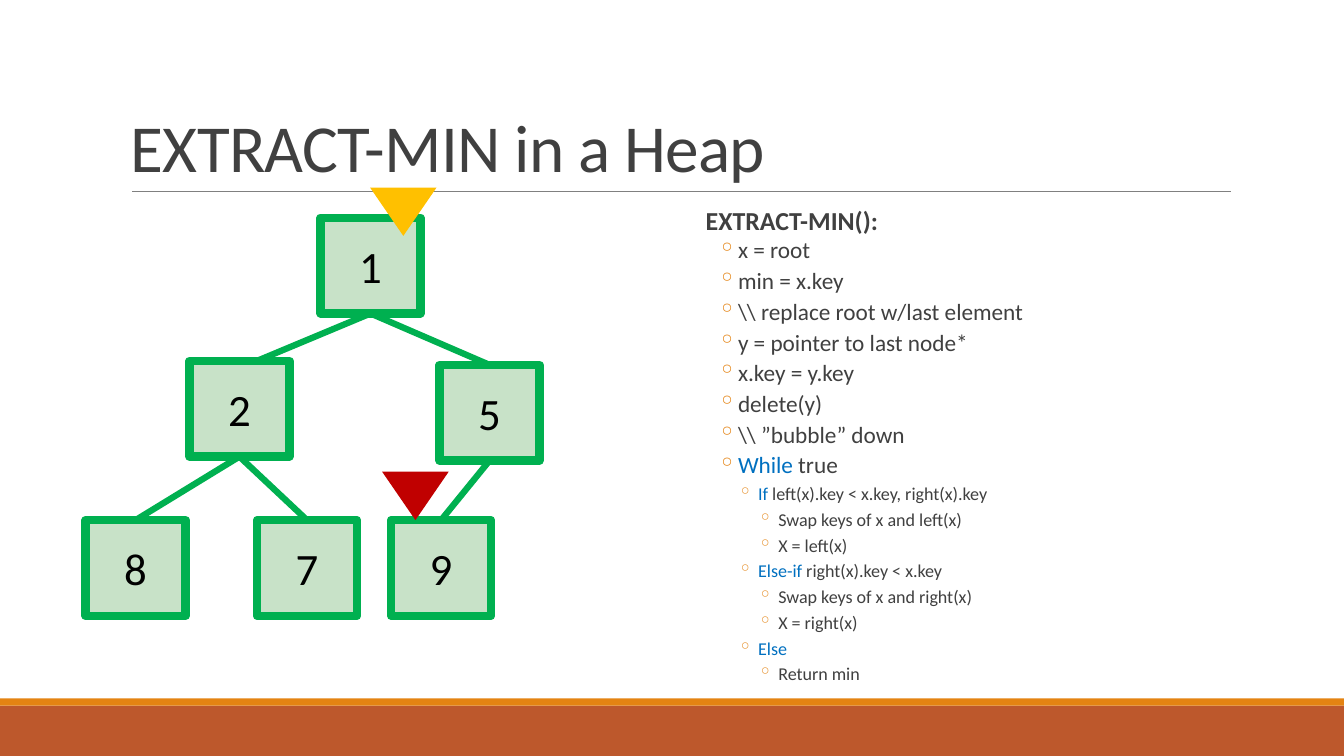
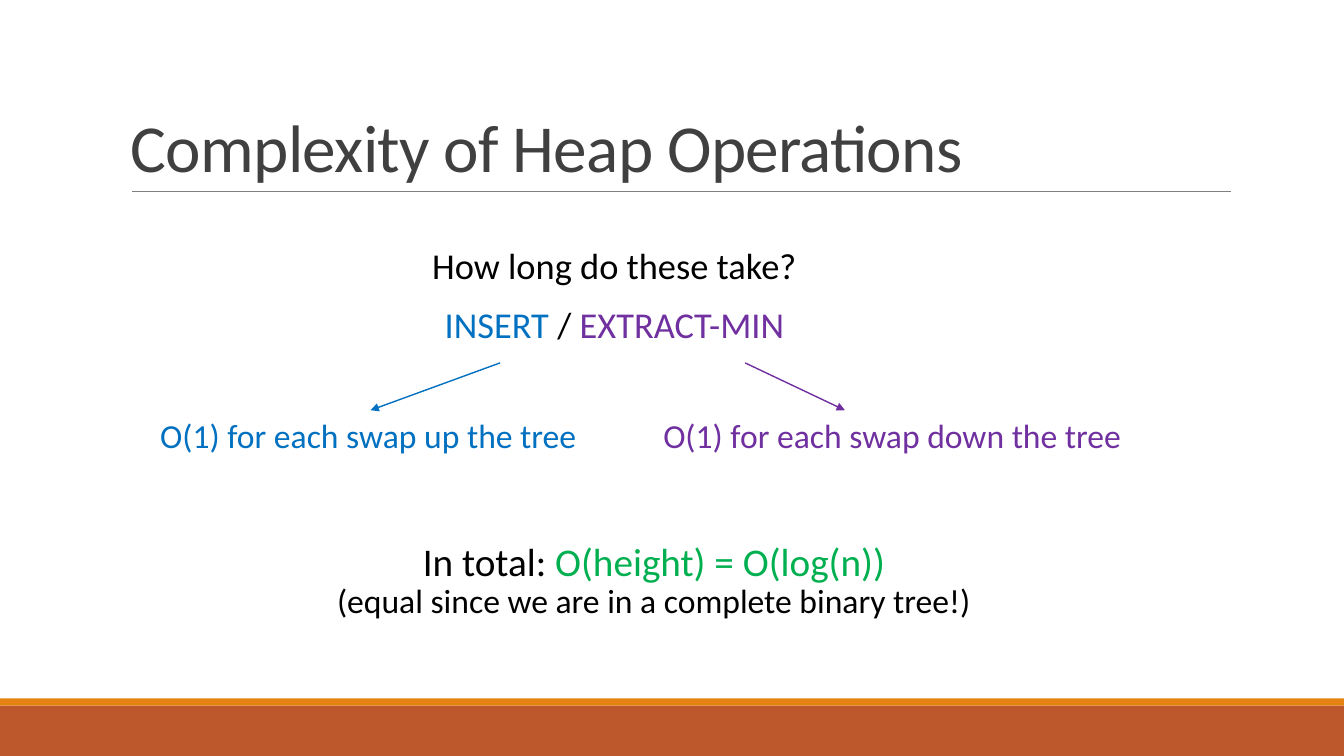
from lxml import etree
from pptx import Presentation
from pptx.dml.color import RGBColor
from pptx.enum import shapes, text
from pptx.oxml.ns import qn
from pptx.util import Inches, Pt


class Theme:
    font = "Calibri"
    ink, black, grey = "404040", "000000", "808080"
    rust, orange = "BD582C", "E48312"
    green, mint = "00B050", "C8E2C8"
    blue, purple = "0070C0", "7030A0"
    gold, red = "FFC000", "C00000"
    title, total, ask, note, key = 48, 28, 26, 24, 32
    head, step, sub = 18.5, 16.6, 12.9


RECT = shapes.MSO_SHAPE.RECTANGLE
TRI = shapes.MSO_SHAPE.ISOSCELES_TRIANGLE
LEFT, CENTER = text.PP_ALIGN.LEFT, text.PP_ALIGN.CENTER
TIGHT = {"margin_left": 0, "margin_right": 0, "word_wrap": True}


def write(shape, paras, frame, form):
    """Fill a shape with paragraphs, each (indent, bullet, runs); a run is (text, size, colour)."""
    body = shape.text_frame
    for name, value in frame.items():
        setattr(body, name, value)
    for i, (indent, bullet, runs) in enumerate(paras):
        para = body.add_paragraph() if i else body.paragraphs[0]
        props = para._p.get_or_add_pPr()
        if indent:
            hang = 0.2 if bullet else 0
            props.set("marL", str(Inches(indent)))
            props.set("indent", str(-Inches(hang)))
        if bullet:
            tint = etree.SubElement(props, qn("a:buClr"))
            etree.SubElement(tint, qn("a:srgbClr"), val=Theme.orange)
            etree.SubElement(props, qn("a:buChar"), char=bullet)
        for name, value in form.items():
            if i or name != "space_before":
                setattr(para, name, value)
        for words, size, color in runs:
            if words == "\n":
                para.add_line_break()
                continue
            run = para.add_run()
            run.text = words
            run.font.name, run.font.size = Theme.font, Pt(size)
            run.font.color.rgb = RGBColor.from_string(color)


def link(slide, start, end, color, width, arrow=False):
    """Draw a line between points, or from a shape's bottom to a shape's top."""
    line = slide.shapes.add_connector(shapes.MSO_CONNECTOR.STRAIGHT, 0, 0, 0, 0)
    if isinstance(start, tuple):
        line.begin_x, line.begin_y = map(Inches, start)
    else:
        line.begin_connect(start, 2)
    if isinstance(end, tuple):
        line.end_x, line.end_y = map(Inches, end)
    else:
        line.end_connect(end, 0)
    line.line.color.rgb = RGBColor.from_string(color)
    line.line.width = Pt(width)
    props = line.element.spPr
    if arrow:
        etree.SubElement(props.find(qn("a:ln")), qn("a:tailEnd"), type="triangle")
    etree.SubElement(props, qn("a:effectLst"))


deck = Presentation()
deck.slide_width, deck.slide_height = Inches(13.33), Inches(7.5)

# Title, rule and bands of every slide
blocks = []
for title in ["EXTRACT-MIN in a Heap", "Complexity of Heap Operations"]:
    slide = deck.slides.add_slide(deck.slide_layouts[6])
    blocks += [
        (slide, RECT, (0, 7, 13.33, 0.5), Theme.rust, None),
        (slide, RECT, (0, 6.93, 13.33, 0.07), Theme.orange, None),
    ]
    link(slide, (1.31, 1.9), (12.21, 1.9), Theme.grey, 0.5)
    box = slide.shapes.add_textbox(*map(Inches, (1.2, 0.31, 11, 1.59)))
    write(box, [(0, None, [(title, Theme.title, Theme.ink)])],
          {"word_wrap": True, "vertical_anchor": text.MSO_ANCHOR.BOTTOM},
          {"line_spacing": 0.85})
    box.text_frame.paragraphs[0].runs[0].font._element.set("spc", "-50")
heap, cost = deck.slides

# Bands, heap nodes and pointers
spots = {"1": (3.18, 2.16), "5": (4.36, 3.62), "7": (2.55, 5.16),
         "8": (0.85, 5.16), "2": (1.88, 3.58), "9": (3.88, 5.16)}
blocks += [(heap, RECT, (*spot, 0.99, 0.95), Theme.mint, key) for key, spot in spots.items()]
blocks += [(heap, TRI, (3.67, 1.86, 0.66, 0.48), Theme.gold, None),
           (heap, TRI, (3.79, 4.68, 0.66, 0.48), Theme.red, None)]
nodes = {}
for slide, kind, place, color, key in blocks:
    shape = slide.shapes.add_shape(kind, *map(Inches, place))
    shape.shadow.inherit = False
    shape.fill.solid()
    shape.fill.fore_color.rgb = RGBColor.from_string(color)
    shape.rotation = 180 if kind == TRI else 0
    if key:
        nodes[key] = shape
        shape.line.color.rgb = RGBColor.from_string(Theme.green)
        shape.line.width = Pt(6)
        write(shape, [(0, None, [(key, Theme.key, Theme.black)])],
              {"vertical_anchor": text.MSO_ANCHOR.MIDDLE}, {"alignment": CENTER})
    else:
        shape.line.fill.background()

for top, low in ["15", "27", "28", "59"]:
    link(heap, nodes[top], nodes[low], Theme.green, 4.5)
link(heap, nodes["1"], (2.55, 3.58), Theme.green, 4.5)

# Pseudocode: level, keyword, rest of the line
code = [
    (1, "", "x = root"),
    (1, "", "min = x.key"),
    (1, "", r"\\ replace root w/last element"),
    (1, "", "y = pointer to last node*"),
    (1, "", "x.key = y.key"),
    (1, "", "delete(y)"),
    (1, "", r"\\ ”bubble” down"),
    (1, "While", " true"),
    (2, "If", " left(x).key < x.key, right(x).key"),
    (3, "", "Swap keys of x and left(x)"),
    (3, "", "X = left(x)"),
    (2, "Else-if", " right(x).key < x.key"),
    (3, "", "Swap keys of x and right(x)"),
    (3, "", "X = right(x)"),
    (2, "Else", ""),
    (3, "", "Return min"),
]
paras = [(0.1, None, [("EXTRACT-MIN():", Theme.head, Theme.ink)])]
for level, word, rest in code:
    size = Theme.step if level == 1 else Theme.sub
    runs = [(word, size, Theme.blue), (rest, size, Theme.ink)]
    paras.append((0.22 + 0.2 * level, "◦", [run for run in runs if run[0]]))
box = heap.shapes.add_textbox(*map(Inches, (6.9, 2.04, 6.3, 4.88)))
write(box, paras, TIGHT, {"alignment": LEFT, "line_spacing": 0.8,
                          "space_before": Pt(2), "space_after": Pt(4)})
first = box.text_frame.paragraphs[0]
first.runs[0].font.bold = True
first.space_after = Pt(2)

# Cost of each operation
ask = [
    (0, None, [("How long do these take?", Theme.ask, Theme.black)]),
    (0, None, [("INSERT ", Theme.ask, Theme.blue), ("/ ", Theme.ask, Theme.black),
               ("EXTRACT-MIN", Theme.ask, Theme.purple)]),
]
total = [(0, None, [
    ("In total: ", Theme.total, Theme.black),
    ("O(height) = O(log(n))", Theme.total, Theme.green),
    ("\n", Theme.total, Theme.green),
    ("(equal since we are in a complete binary tree!)", Theme.note, Theme.black),
])]
for place, paras in [((2.97, 2.41, 6.25, 1.19), ask), ((2.48, 5.33, 8.01, 1.19), total)]:
    box = cost.shapes.add_textbox(*map(Inches, place))
    write(box, paras, TIGHT, {"alignment": CENTER, "line_spacing": 0.9,
                              "space_before": Pt(12), "space_after": Pt(2)})

notes = []
for left, width, way, color in [(1.49, 4.37, "up", Theme.blue),
                                (6.48, 4.78, "down", Theme.purple)]:
    box = cost.shapes.add_textbox(*map(Inches, (left, 4.07, width, 0.5)))
    write(box, [(0, None, [(f"O(1) for each swap {way} the tree", Theme.note, color)])],
          {"word_wrap": False}, {"alignment": LEFT})
    notes.append(box)
link(cost, (4.96, 3.6), notes[0], Theme.blue, 1, arrow=True)
link(cost, (7.39, 3.6), (8.38, 4.07), Theme.purple, 1, arrow=True)

deck.save("out.pptx")
